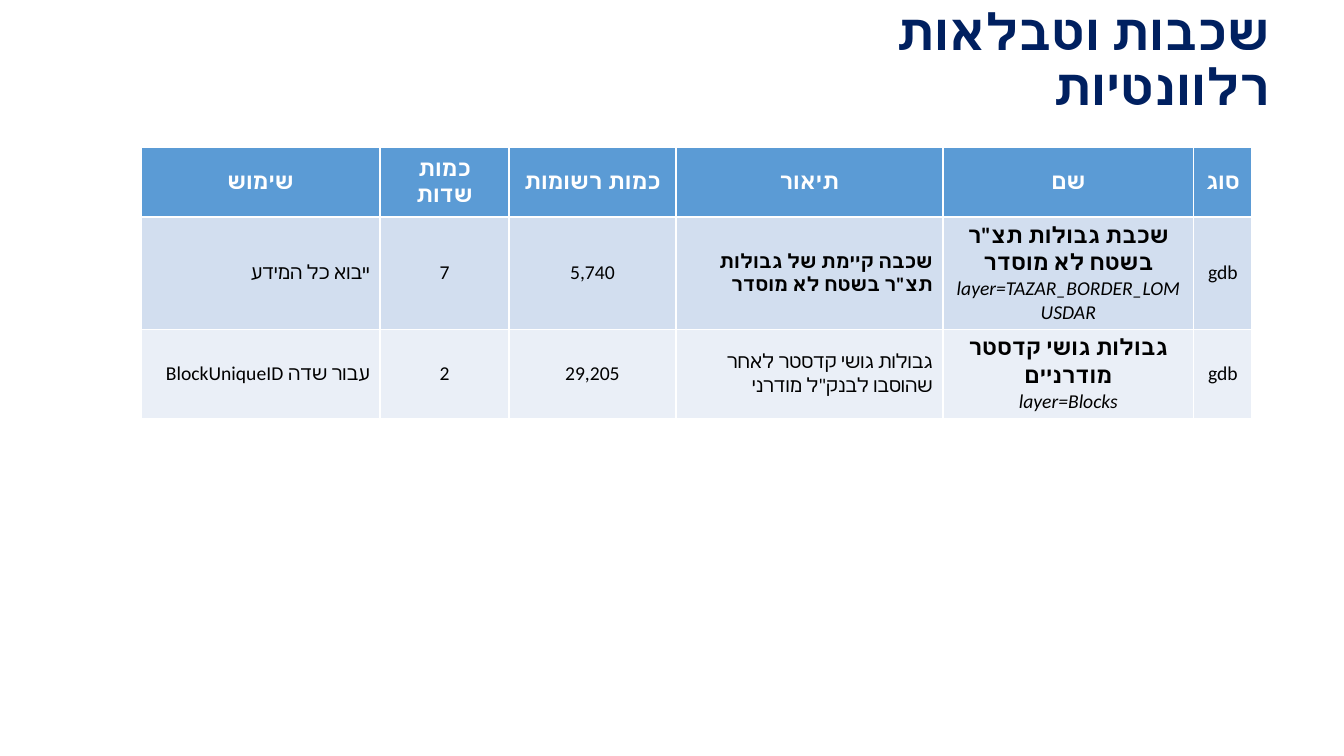
from lxml import etree
from pptx import Presentation, util as u
from pptx.dml.color import RGBColor
from pptx.enum import text
from pptx.oxml.ns import qn

PX = 914400 / 100.8
THEME = {
    "title": {"name": "Calibri", "size": 36, "bold": True, "italic": False, "color": "002060"},
    "header": {"name": "Roboto", "size": 16, "bold": True, "italic": False, "color": "FFFFFF"},
    "body": {"name": "Calibri", "size": 14, "bold": False, "italic": False, "color": "000000"},
    "strong": {"name": "Calibri", "size": 14, "bold": True, "italic": False, "color": "000000"},
    "layer_title": {"name": "Calibri", "size": 16, "bold": True, "italic": False, "color": "000000"},
    "layer_code": {"name": "Calibri", "size": 14, "bold": False, "italic": True, "color": "000000"},
    "row_fills": ["5B9BD5", "D2DEEF", "EAEFF7"],
}


def px(*lengths):
    return [u.Emu(round(length * PX)) for length in lengths]


def write(frame, lines, rtl=False):
    for index, (words, style) in enumerate(lines):
        paragraph = frame.add_paragraph() if index else frame.paragraphs[0]
        paragraph.alignment = text.PP_ALIGN.RIGHT if rtl else text.PP_ALIGN.CENTER
        if rtl:
            paragraph._p.get_or_add_pPr().set("rtl", "1")
        run = paragraph.add_run()
        run.text = words
        look = dict(THEME[style])
        run.font.color.rgb = RGBColor.from_string(look.pop("color"))
        look["size"] = u.Pt(look["size"])
        for attribute, value in look.items():
            setattr(run.font, attribute, value)
        etree.SubElement(run._r.get_or_add_rPr(), qn("a:cs"), typeface=look["name"])


deck = Presentation()
deck.slide_width, deck.slide_height = px(1344, 756)
slide = deck.slides.add_slide(deck.slide_layouts[6])

rows = [
    [
        [("שימוש", "header")],
        [("כמות", "header"), ("שדות", "header")],
        [("כמות רשומות", "header")],
        [("תיאור", "header")],
        [("שם", "header")],
        [("סוג", "header")],
    ],
    [
        [("ייבוא כל המידע", "body")],
        [("7", "body")],
        [("5,740", "body")],
        [("שכבה קיימת של גבולות תצ\"ר בשטח לא מוסדר", "strong")],
        [("שכבת גבולות תצ\"ר בשטח לא מוסדר", "layer_title"),
         ("layer=TAZAR_BORDER_LOMUSDAR", "layer_code")],
        [("gdb", "body")],
    ],
    [
        [("עבור שדה BlockUniqueID", "body")],
        [("2", "body")],
        [("29,205", "body")],
        [("גבולות גושי קדסטר לאחר שהוסבו לבנק\"ל מודרני", "body")],
        [("גבולות גושי קדסטר מודרניים", "layer_title"), ("layer=Blocks", "layer_code")],
        [("gdb", "body")],
    ],
]
column_widths = [239, 129, 167, 267, 251, 58]
row_heights = [70, 102, 79]
rtl_columns = {0, 3}

layers = slide.shapes.add_table(
    len(rows), len(column_widths), *px(141, 147, sum(column_widths), sum(row_heights))
).table
for column, width in zip(layers.columns, px(*column_widths)):
    column.width = width
for row, height in zip(layers.rows, px(*row_heights)):
    row.height = height
for r, entries in enumerate(rows):
    for c, lines in enumerate(entries):
        cell = layers.cell(r, c)
        cell.vertical_anchor = text.MSO_ANCHOR.MIDDLE
        cell.fill.solid()
        cell.fill.fore_color.rgb = RGBColor.from_string(THEME["row_fills"][r])
        write(cell.text_frame, lines, rtl=r > 0 and c in rtl_columns)

title = slide.shapes.add_textbox(*px(756, 27, 524, 69)).text_frame
title.word_wrap = True
title.vertical_anchor = text.MSO_ANCHOR.MIDDLE
write(title, [("שכבות וטבלאות רלוונטיות", "title")], rtl=True)
title.paragraphs[0].line_spacing = 0.9

deck.save("out.pptx")
